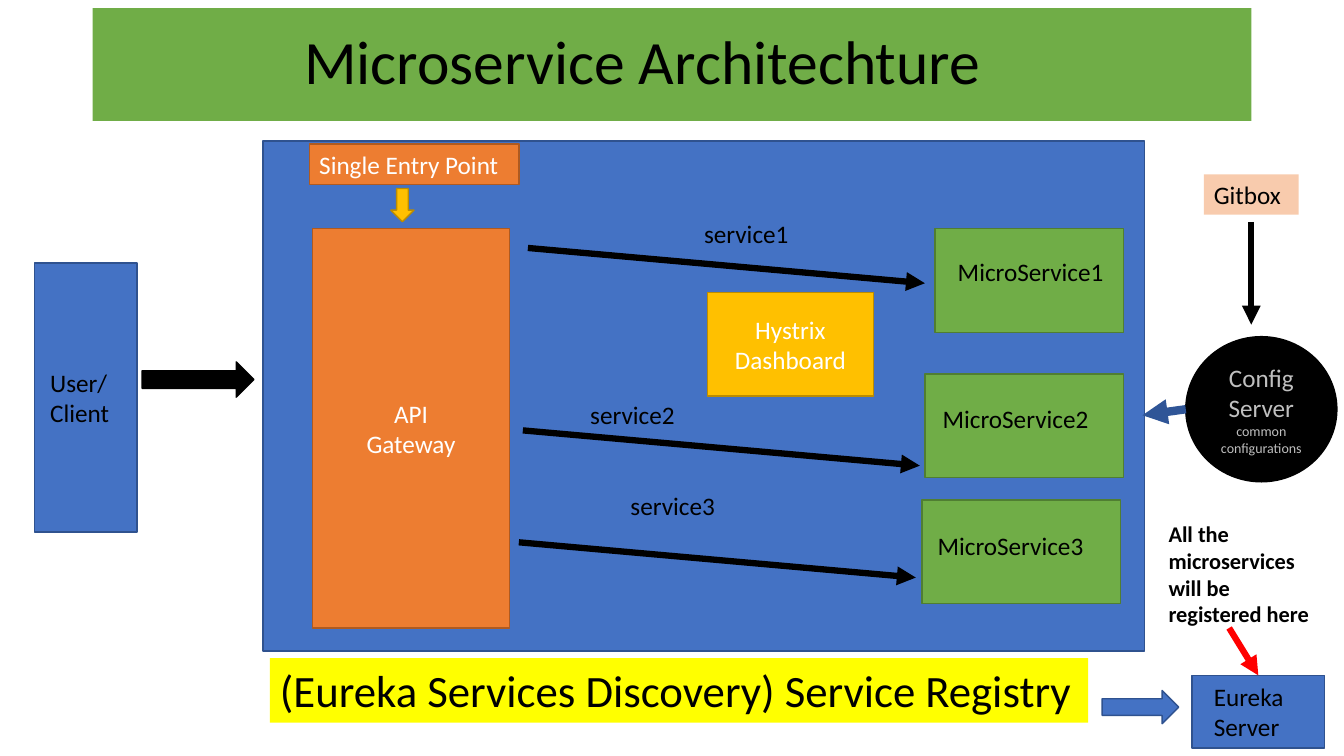
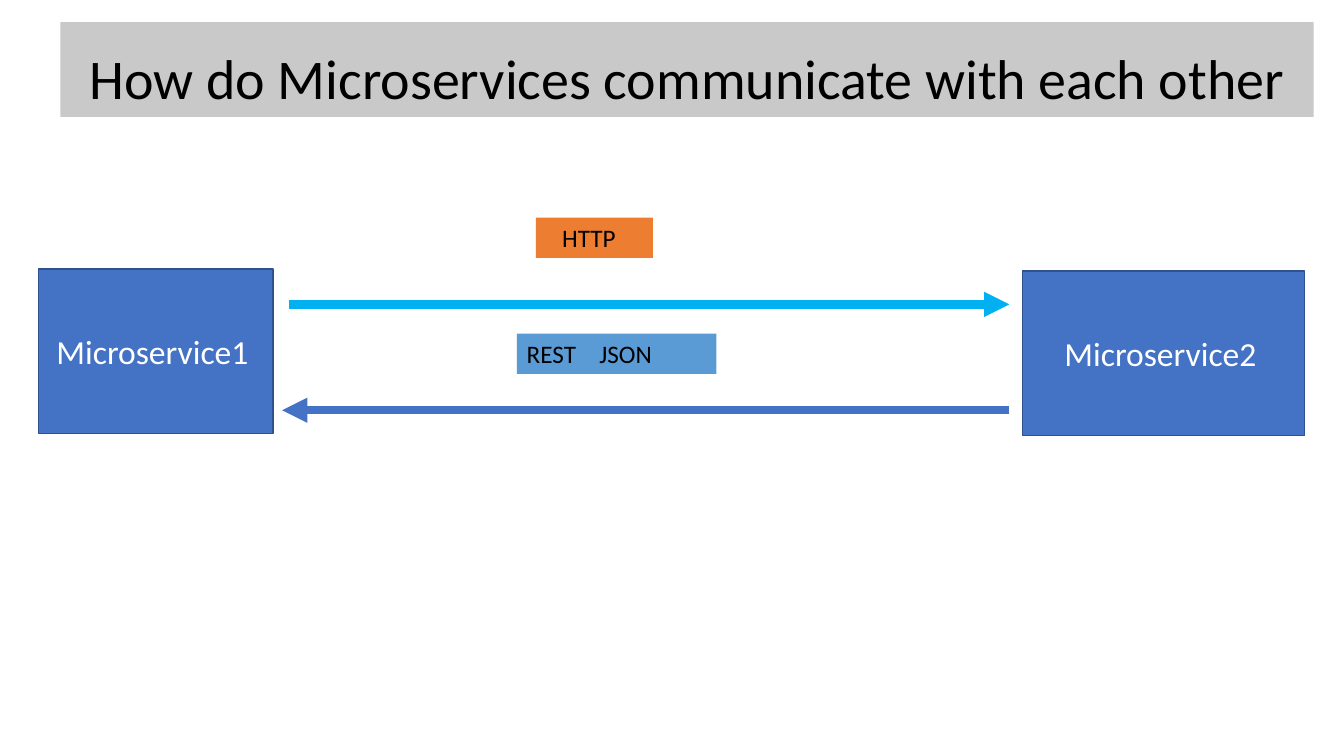
from lxml import etree
from pptx import Presentation
from pptx.dml.color import RGBColor
from pptx.enum.shapes import MSO_CONNECTOR, MSO_SHAPE
from pptx.enum.text import MSO_ANCHOR, MSO_AUTO_SIZE, PP_ALIGN
from pptx.oxml.ns import qn
from pptx.util import Inches, Pt


class Theme:
    font = "Calibri"
    black, white, silver, gray = "000000", "FFFFFF", "BFBFBF", "C9C9C9"
    blue, blue_edge, blue_dark = "4472C4", "2F528F", "2F5597"
    orange, orange_edge = "ED7D31", "AE5A21"
    green, green_edge = "70AD47", "507E32"
    gold, gold_edge = "FFC000", "BC8C00"
    yellow, peach, red, cyan, sky = "FFFF00", "F8CBAD", "FF0000", "00B0F0", "5B9BD5"
    tiny, note, body, large, banner, subtitle, title = 10, 16, 18, 24, 32, 40, 44
    edge, arrow, thick_arrow = 1, 4.5, 6


LEFT, CENTER = PP_ALIGN.LEFT, PP_ALIGN.CENTER
TOP, MIDDLE, BOTTOM = MSO_ANCHOR.TOP, MSO_ANCHOR.MIDDLE, MSO_ANCHOR.BOTTOM


def draw(s, at, text="", *, kind=MSO_SHAPE.RECTANGLE, fill=None, line=None,
         size=Theme.body, last_size=None, color=Theme.black, bold=False,
         align=LEFT, anchor=TOP, left=0.1, right=0.1, spacing=1.0, tab=None):
    """Place a shape, the title (kind="title") or a text box (kind=None) with its text."""
    x, y, w, h = (Inches(v) for v in at)
    if kind == "title":
        sp = s.shapes.title
        sp.left, sp.top, sp.width, sp.height = x, y, w, h
    elif kind is None:
        sp = s.shapes.add_textbox(x, y, w, h)
    else:
        sp = s.shapes.add_shape(kind, x, y, w, h)
        sp.shadow.inherit = False
    if fill:
        sp.fill.solid()
        sp.fill.fore_color.rgb = RGBColor.from_string(fill)
    if line:
        sp.line.color.rgb = RGBColor.from_string(line)
        sp.line.width = Pt(Theme.edge)
    else:
        sp.line.fill.background()
    if not text:
        return sp

    tf = sp.text_frame
    tf.word_wrap, tf.auto_size = True, MSO_AUTO_SIZE.NONE
    tf.vertical_anchor = anchor
    tf.margin_left, tf.margin_right = Inches(left), Inches(right)
    tf.margin_top = tf.margin_bottom = Inches(0.05)
    rows = text.split("\n")
    for i, row in enumerate(rows):
        p = tf.add_paragraph() if i else tf.paragraphs[0]
        p.alignment, p.line_spacing = align, spacing
        if tab:
            stops = etree.SubElement(p._p.get_or_add_pPr(), qn("a:tabLst"))
            etree.SubElement(stops, qn("a:tab"), pos=str(Inches(tab)), algn="l")
        r = p.add_run()
        r.text = row
        r.font.name, r.font.bold = Theme.font, bold
        r.font.size = Pt(last_size if last_size and i == len(rows) - 1 else size)
        r.font.color.rgb = RGBColor.from_string(color)
    return sp


def arrow(s, start, end, color=Theme.black, width=Theme.arrow):
    """Draw a straight arrow from start to end."""
    c = s.shapes.add_connector(MSO_CONNECTOR.STRAIGHT, *(Inches(v) for v in start + end))
    c.line.color.rgb = RGBColor.from_string(color)
    c.line.width = Pt(width)
    etree.SubElement(c.line._get_or_add_ln(), qn("a:tailEnd"), type="triangle")
    etree.SubElement(c._element.spPr, qn("a:effectLst"))
    return c


prs = Presentation()
prs.slide_width, prs.slide_height = Inches(13.34), Inches(7.5)
title_only = prs.slide_layouts[5]
blue_box = dict(fill=Theme.blue, line=Theme.blue_edge)
orange_box = dict(fill=Theme.orange, line=Theme.orange_edge, color=Theme.white)
gold_box = dict(fill=Theme.gold, line=Theme.gold_edge, color=Theme.white)
black_box = dict(fill=Theme.black, line=Theme.black)
centered = dict(align=CENTER, anchor=MIDDLE)

# Slide 1: architecture
s = prs.slides.add_slide(title_only)
draw(s, (0.92, 0.08, 11.5, 1.12), "Microservice Architechture", kind="title",
     fill=Theme.green, size=Theme.title, anchor=MIDDLE, left=2.1, spacing=0.9)

# System frame, client and gateway
draw(s, (2.61, 1.4, 8.75, 5.06), **blue_box)
draw(s, (0.34, 2.61, 1.02, 2.67), **blue_box)
draw(s, (0.4, 3.59, 0.8, 0.7), "User/\nClient", kind=None)
draw(s, (1.41, 3.59, 1.11, 0.35), kind=MSO_SHAPE.RIGHT_ARROW, **black_box)
draw(s, (3.1, 2.27, 1.96, 3.96), "API\nGateway", **orange_box, **centered)
draw(s, (3.07, 1.43, 2.08, 0.4), "Single Entry Point", **orange_box)
draw(s, (3.88, 1.87, 0.23, 0.33), kind=MSO_SHAPE.DOWN_ARROW, **gold_box)
draw(s, (7.02, 2.9, 1.65, 1.03), "Hystrix\nDashboard", **gold_box, **centered)

# Microservices: box (x, y, width), name (x, y), call label (x, y), arrow start
services = [
    ((9.28, 2.27, 1.87), (9.32, 2.49), (6.89, 2.12), (5.24, 2.46)),
    ((9.18, 3.71, 1.97), (9.17, 3.95), (5.76, 3.91), (5.19, 4.27)),
    ((9.15, 4.96, 1.97), (9.12, 5.21), (6.16, 4.82), (5.15, 5.38)),
]
for n, (box, name, call, (x, y)) in enumerate(services, 1):
    draw(s, (*box, 1.03), fill=Theme.green, line=Theme.green_edge)
    draw(s, (*name, 1.82, 0.4), f"MicroService{n}", kind=None, align=CENTER)
    draw(s, (*call, 1.1, 0.4), f"service{n}", kind=None)
    arrow(s, (x, y), (x + 3.94, y + 0.35))

# Configuration
draw(s, (11.95, 1.73, 0.94, 0.4), "Gitbox", fill=Theme.peach)
arrow(s, (12.42, 2.2), (12.42, 3.22))
draw(s, (11.77, 3.34, 1.5, 1.44), "Config\nServer\ncommon configurations",
     kind=MSO_SHAPE.OVAL, color=Theme.silver, last_size=Theme.tiny,
     **black_box, **centered)
arrow(s, (11.77, 4.06), (11.34, 4.12), Theme.blue_dark, Theme.thick_arrow)

# Service registry
draw(s, (2.68, 6.53, 8.12, 0.64), "(Eureka Services Discovery) Service Registry",
     fill=Theme.yellow, size=Theme.banner)
draw(s, (10.94, 6.85, 0.76, 0.33), kind=MSO_SHAPE.RIGHT_ARROW, **blue_box)
eureka = draw(s, (11.83, 6.7, 1.32, 0.72), **blue_box)
draw(s, (11.95, 6.71, 1.07, 0.7), "Eureka\nServer", kind=None)
draw(s, (11.5, 5.11, 1.72, 1.17), "All the microservices will be registered here",
     kind=None, size=Theme.note, bold=True)
arrow(s, (12.2, 6.23), (12.49, 6.7), Theme.red).end_connect(eureka, 0)

# Slide 2: communication
s = prs.slides.add_slide(title_only)
draw(s, (0.6, 0.22, 12.44, 0.94), "How do Microservices communicate with each other",
     kind="title", fill=Theme.gray, size=Theme.subtitle, align=CENTER,
     anchor=BOTTOM, spacing=0.9)

# The two services
for n, at in enumerate([(0.38, 2.67, 2.33, 1.63), (10.15, 2.69, 2.8, 1.63)], 1):
    draw(s, at, f"Microservice{n}", size=Theme.large, color=Theme.white,
         right=0.16, **blue_box, **centered)

# Request and response
arrow(s, (2.87, 3.02), (10.02, 3.02), Theme.cyan, Theme.thick_arrow)
arrow(s, (10.02, 4.07), (2.8, 4.07), Theme.blue, Theme.thick_arrow)
draw(s, (5.32, 2.16, 1.16, 0.4), "HTTP", fill=Theme.orange, left=0.26)
draw(s, (5.13, 3.31, 1.98, 0.4), "REST\tJSON", fill=Theme.sky, tab=0.72)

prs.save("out.pptx")
